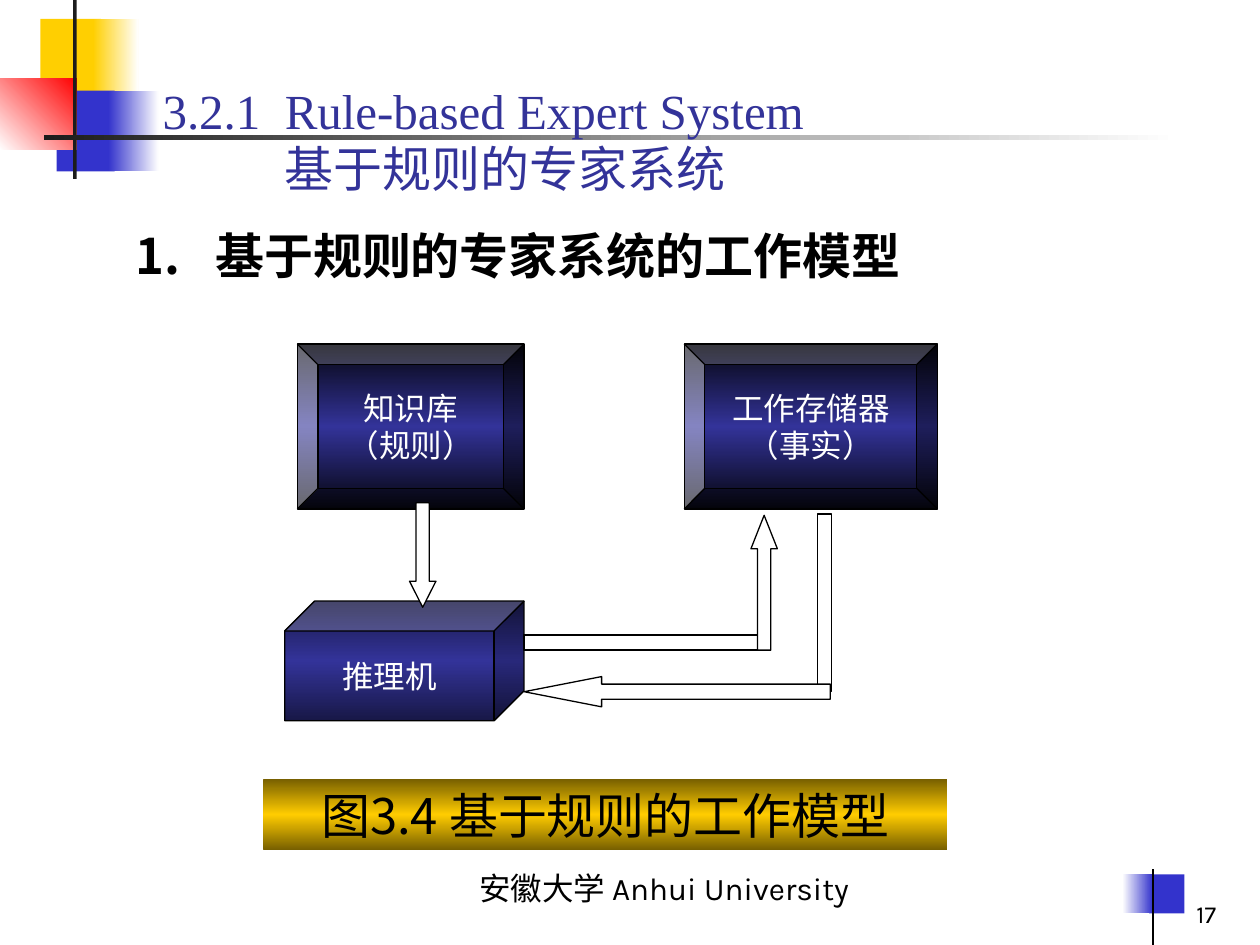
from dataclasses import dataclass

from lxml import etree
from pptx import Presentation
from pptx.dml.color import RGBColor
from pptx.enum.shapes import MSO_CONNECTOR, MSO_SHAPE
from pptx.enum.text import MSO_ANCHOR, MSO_AUTO_SIZE, PP_ALIGN
from pptx.oxml.ns import qn
from pptx.util import Inches, Pt

RECTANGLE = MSO_SHAPE.RECTANGLE
BEVEL = MSO_SHAPE.BEVEL
CUBE = MSO_SHAPE.CUBE
DOWN_ARROW = MSO_SHAPE.DOWN_ARROW
UP_ARROW = MSO_SHAPE.UP_ARROW
LEFT_ARROW = MSO_SHAPE.LEFT_ARROW
STRAIGHT = MSO_CONNECTOR.STRAIGHT
LEFT, CENTER, RIGHT = PP_ALIGN.LEFT, PP_ALIGN.CENTER, PP_ALIGN.RIGHT
TOP, MIDDLE, BOTTOM = MSO_ANCHOR.TOP, MSO_ANCHOR.MIDDLE, MSO_ANCHOR.BOTTOM


@dataclass(frozen=True)
class Theme:
    white: str = "FFFFFF"
    black: str = "000000"
    charcoal: str = "1C1C1C"
    yellow: str = "FFCF01"
    red: str = "FF0000"
    blue: str = "3333CC"
    indigo: str = "333399"
    gold: str = "FFCC00"
    dark_gold: str = "765E00"
    bevel_edge: str = "05050E"
    cube_edge: str = "181847"
    heading_size: int = 28
    label_size: int = 18
    number_size: int = 14
    line_width: float = 0.75
    serif: str = "Times New Roman"
    sans: str = "Arial"
    footer: str = "Karla"
    bold_cjk: str = "Noto Sans CJK JP"
    cjk: str = "Noto Sans CJK SC"


THEME = Theme()


def place(shape, box):
    shape.left, shape.top, shape.width, shape.height = map(Inches, box)


def set_gradient(shape, colors, angle):
    shape.fill.gradient()
    shape.fill.gradient_angle = 0
    gradient = shape._element.spPr.find(qn("a:gradFill"))
    gradient.find(qn("a:lin")).set("ang", str(angle * 60000))
    stops = gradient.find(qn("a:gsLst"))
    for stop in list(stops):
        stops.remove(stop)
    for index, color in enumerate(colors):
        position = index * 100000 // (len(colors) - 1)
        stop = etree.SubElement(stops, qn("a:gs"), pos=str(position))
        etree.SubElement(stop, qn("a:srgbClr"), val=color)


def add_block(slide, kind, box, colors, angle=0, outlined=False, adjustments=()):
    shape = slide.shapes.add_shape(kind, *map(Inches, box))
    shape.shadow.inherit = False
    if len(colors) == 1:
        shape.fill.solid()
        shape.fill.fore_color.rgb = RGBColor.from_string(colors[0])
    else:
        set_gradient(shape, colors, angle)
    if outlined:
        shape.line.color.rgb = RGBColor.from_string(THEME.black)
        shape.line.width = Pt(THEME.line_width)
    else:
        shape.line.fill.background()
    for index, value in enumerate(adjustments):
        shape.adjustments[index] = value
    return shape


def write_text(shape, text, size, font, color, align, anchor,
               hanging=0, bold=False, wrap=True):
    frame = shape.text_frame
    frame.text = text
    frame.word_wrap = wrap
    frame.auto_size = MSO_AUTO_SIZE.NONE
    frame.vertical_anchor = anchor
    for paragraph in frame.paragraphs:
        paragraph.alignment = align
        if hanging:
            properties = paragraph._p.get_or_add_pPr()
            properties.set("marL", str(Inches(hanging)))
            properties.set("indent", str(-Inches(hanging)))
        paragraph.font.size = Pt(size)
        paragraph.font.name = font
        paragraph.font.bold = bold
        paragraph.font.color.rgb = RGBColor.from_string(color)


def add_text(slide, box, *text_settings, **options):
    shape = slide.shapes.add_textbox(*map(Inches, box))
    write_text(shape, *text_settings, **options)
    return shape


def add_line(slide, start, end):
    line = slide.shapes.add_connector(STRAIGHT, *map(Inches, start + end))
    line.line.color.rgb = RGBColor.from_string(THEME.black)
    line.line.width = Pt(THEME.line_width)
    etree.SubElement(line._element.spPr, qn("a:effectLst"))


def add_decoration(slide):
    for box, colors, angle in (
        ((0.32, 0.15, 0.48, 0.64), (THEME.yellow,), 0),
        ((0.74, 0.15, 0.36, 0.64), (THEME.yellow, THEME.white), 0),
        ((0.45, 0.72, 0.46, 0.64), (THEME.blue,), 0),
        ((0.86, 0.72, 0.4, 0.64), (THEME.blue, THEME.white), 0),
        ((0, 0.62, 0.61, 0.57), (THEME.white, THEME.red), 315),
        ((0.58, 0, 0.03, 1.42), (THEME.charcoal,), 0),
        ((0.35, 1.07, 9, 0.04), (THEME.charcoal, THEME.white), 0),
        ((9.12, 6.94, 0.28, 0.31), (THEME.blue,), 0),
        ((8.91, 6.94, 0.24, 0.31), (THEME.white, THEME.blue), 0),
    ):
        add_block(slide, RECTANGLE, box, colors, angle)
    add_line(slide, (9.15, 6.9), (9.15, 7.5))


def add_title(slide):
    title = slide.shapes.title
    place(title, (1.19, 0.28, 7.75, 1.34))
    write_text(title, "3.2.1\tRule-based Expert System\v基于规则的专家系统",
               THEME.heading_size, THEME.serif, THEME.indigo, LEFT, BOTTOM,
               hanging=0.97)
    slide.shapes._spTree.append(title._element)


def add_component(slide, kind, box, edge, text, font):
    shape = add_block(slide, kind, box, (edge, THEME.indigo, edge), 90, True)
    write_text(shape, text, THEME.label_size, font, THEME.white,
               CENTER, MIDDLE, wrap=False)


def add_diagram(slide):
    for kind, box, edge, text, font in (
        (BEVEL, (2.36, 2.73, 1.8, 1.31), THEME.bevel_edge, "知识库\n（规则）", THEME.serif),
        (BEVEL, (5.43, 2.73, 2.01, 1.31), THEME.bevel_edge, "工作存储器\n（事实）", THEME.serif),
        (CUBE, (2.26, 4.77, 1.9, 0.95), THEME.cube_edge, "推理机", THEME.sans),
    ):
        add_component(slide, kind, box, edge, text, font)
    for kind, box, adjustments in (
        (DOWN_ARROW, (3.25, 3.99, 0.21, 0.83), (0.5, 0.985)),
        (RECTANGLE, (4.16, 5.04, 1.9, 0.12), ()),
        (UP_ARROW, (5.96, 4.09, 0.21, 1.07), (0.5, 1.265)),
        (RECTANGLE, (6.49, 4.08, 0.11, 1.41), ()),
        (LEFT_ARROW, (4.16, 5.37, 2.43, 0.24), (0.5, 2.563)),
    ):
        add_block(slide, kind, box, (THEME.white,), outlined=True,
                  adjustments=adjustments)


def add_caption(slide):
    caption = add_block(slide, RECTANGLE, (2.09, 6.18, 5.43, 0.57),
                        (THEME.dark_gold, THEME.gold, THEME.dark_gold), 90)
    write_text(caption, "图3.4 基于规则的工作模型", THEME.heading_size,
               THEME.cjk, THEME.black, CENTER, MIDDLE)


def main():
    presentation = Presentation()
    presentation.slide_width = Inches(10)
    presentation.slide_height = Inches(7.5)
    slide = presentation.slides.add_slide(presentation.slide_layouts[5])
    add_decoration(slide)
    add_text(slide, (2.87, 6.75, 4.8, 0.5), "安徽大学 Anhui University",
             THEME.label_size, THEME.footer, THEME.black, CENTER, BOTTOM)
    add_text(slide, (7.67, 6.9, 2.08, 0.52), "17",
             THEME.number_size, THEME.footer, THEME.black, RIGHT, BOTTOM)
    add_title(slide)
    add_diagram(slide)
    heading = add_text(slide, (0.98, 1.79, 7.95, 0.6), "1.\t基于规则的专家系统的工作模型",
                       THEME.heading_size, THEME.bold_cjk, THEME.black, LEFT, TOP,
                       hanging=0.63, bold=True)
    heading.text_frame.paragraphs[0].line_spacing = 0.9
    add_caption(slide)
    presentation.save("out.pptx")


if __name__ == "__main__":
    main()
